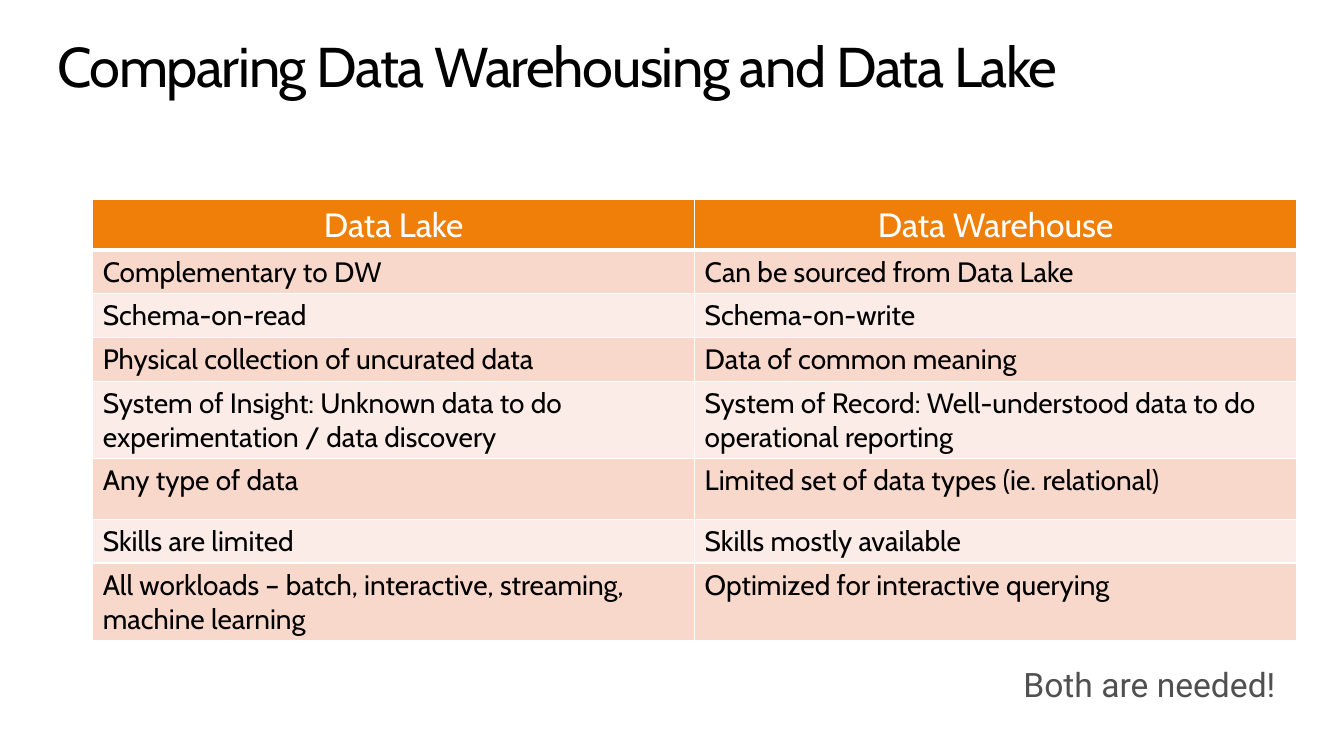
from lxml import etree
from pptx import Presentation
from pptx.dml.color import RGBColor
from pptx.enum.text import MSO_ANCHOR, PP_ALIGN
from pptx.oxml.ns import qn
from pptx.util import Inches, Pt

LEFT, CENTER = PP_ALIGN.LEFT, PP_ALIGN.CENTER
TOP = MSO_ANCHOR.TOP

COLORS = {
    "white": "FFFFFF",
    "black": "000000",
    "grey": "505050",
    "header": "F07F09",
    "odd_row": "F9D8CC",
    "even_row": "FCECE7",
}
TITLE = "Comparing Data Warehousing and Data Lake"
CONCLUSION = "Both are needed!"
COMPARISON = [
    ("Data Lake", "Data Warehouse"),
    ("Complementary to DW", "Can be sourced from Data Lake"),
    ("Schema-on-read", "Schema-on-write"),
    ("Physical collection of uncurated data", "Data of common meaning"),
    ("System of Insight: Unknown data to do experimentation / data discovery",
     "System of Record: Well-understood data to do operational reporting"),
    ("Any type of data", "Limited set of data types (ie. relational)"),
    ("Skills are limited", "Skills mostly available"),
    ("All workloads – batch, interactive, streaming, machine learning",
     "Optimized for interactive querying"),
]
ROW_HEIGHTS = [0.5, 0.43, 0.43, 0.43, 0.77, 0.6, 0.43, 0.77]
COLUMN_WIDTH = 5.97


def write_text(frame, text, size, color, font="Cabin", align=LEFT,
               line_spacing=None, space_after=None, tracking=None):
    para = frame.paragraphs[0]
    para.alignment = align
    if line_spacing:
        para.line_spacing = line_spacing
    if space_after:
        para.space_after = Pt(space_after)
    span = para.add_run()
    span.text = text
    span.font.name = font
    span.font.size = Pt(size)
    span.font.color.rgb = RGBColor.from_string(COLORS[color])
    if tracking:
        span.font._element.set("spc", str(tracking * 100))


def add_text_box(page, left, top, width, height, inset, text, **style):
    box = page.shapes.add_textbox(Inches(left), Inches(top), Inches(width), Inches(height))
    frame = box.text_frame
    frame.word_wrap = True
    frame.vertical_anchor = TOP
    frame.margin_left = frame.margin_right = Inches(inset[0])
    frame.margin_top = frame.margin_bottom = Inches(inset[1])
    write_text(frame, text, **style)


def set_borders(cell, top, bottom):
    properties = cell._tc.get_or_add_tcPr()
    widths = {"a:lnL": 1, "a:lnR": 1, "a:lnT": top, "a:lnB": bottom}
    for position, (tag, width) in enumerate(widths.items()):
        line = etree.Element(qn(tag), w=str(Pt(width)))
        fill = etree.SubElement(line, qn("a:solidFill"))
        etree.SubElement(fill, qn("a:srgbClr"), val=COLORS["white"])
        properties.insert(position, line)


def add_comparison(page):
    size = len(COMPARISON), len(COMPARISON[0])
    table = page.shapes.add_table(
        *size, Inches(0.92), Inches(1.98),
        Inches(COLUMN_WIDTH * size[1]), Inches(sum(ROW_HEIGHTS))).table
    for column in table.columns:
        column.width = Inches(COLUMN_WIDTH)
    for index, (texts, height) in enumerate(zip(COMPARISON, ROW_HEIGHTS)):
        table.rows[index].height = Inches(height)
        if index == 0:
            fill, style = "header", dict(size=24, color="white", align=CENTER)
        else:
            fill = "odd_row" if index % 2 else "even_row"
            style = dict(size=20, color="black")
        for column, text in enumerate(texts):
            cell = table.cell(index, column)
            cell.fill.solid()
            cell.fill.fore_color.rgb = RGBColor.from_string(COLORS[fill])
            set_borders(cell, top=3 if index == 1 else 1, bottom=3 if index == 0 else 1)
            write_text(cell.text_frame, text, **style)


def main():
    deck = Presentation()
    deck.slide_width, deck.slide_height = Inches(13.33), Inches(7.5)
    page = deck.slides.add_slide(deck.slide_layouts[6])
    add_text_box(page, 0.57, 0.39, 12.2, 0.61, (0, 0), TITLE,
                 size=40, color="black", line_spacing=0.9, tracking=-1)
    add_comparison(page)
    add_text_box(page, 9.95, 6.47, 3.38, 0.69, (0.2, 0.16), CONCLUSION, size=24,
                 color="grey", font="Roboto", line_spacing=0.9, space_after=6)
    deck.save("out.pptx")


if __name__ == "__main__":
    main()
